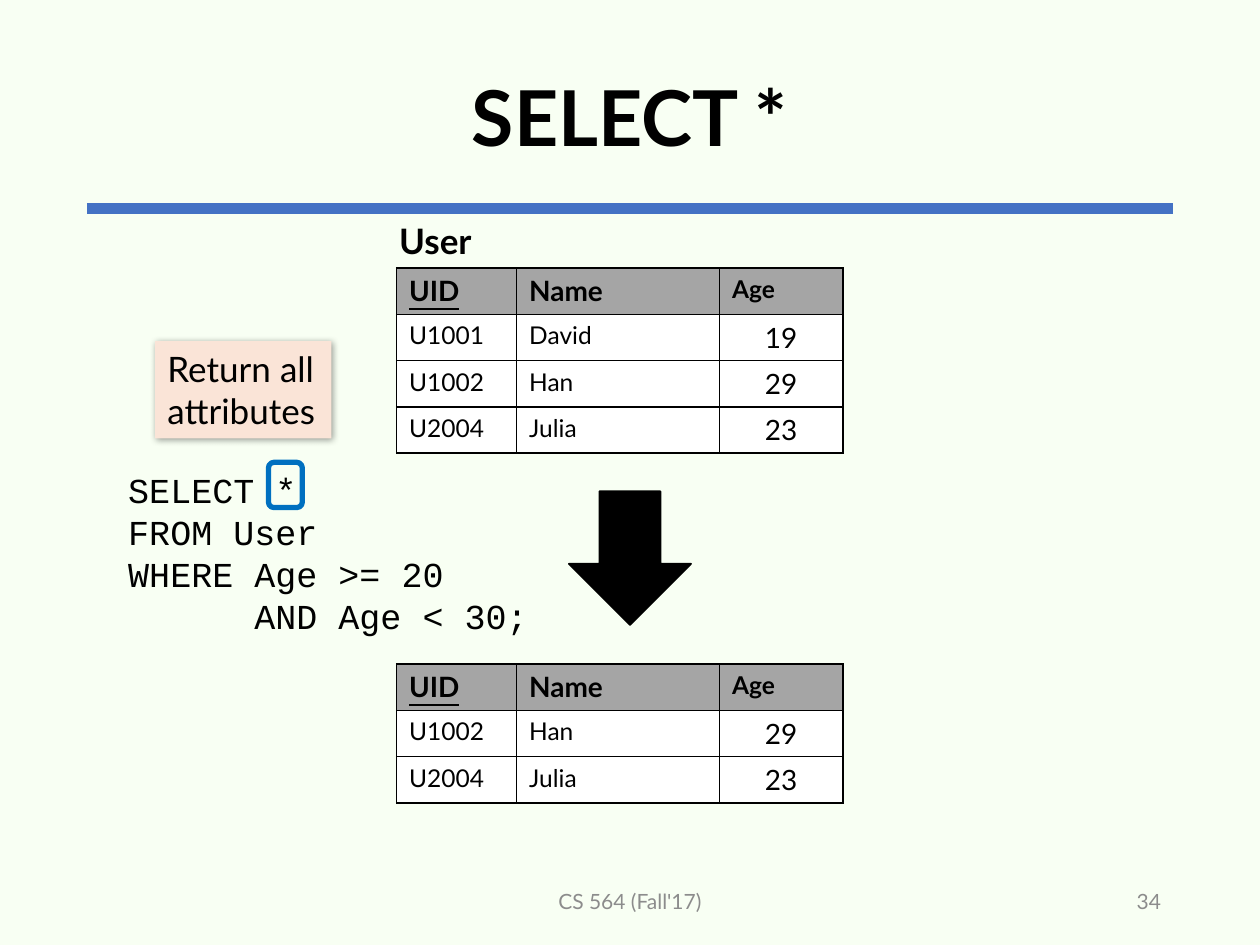
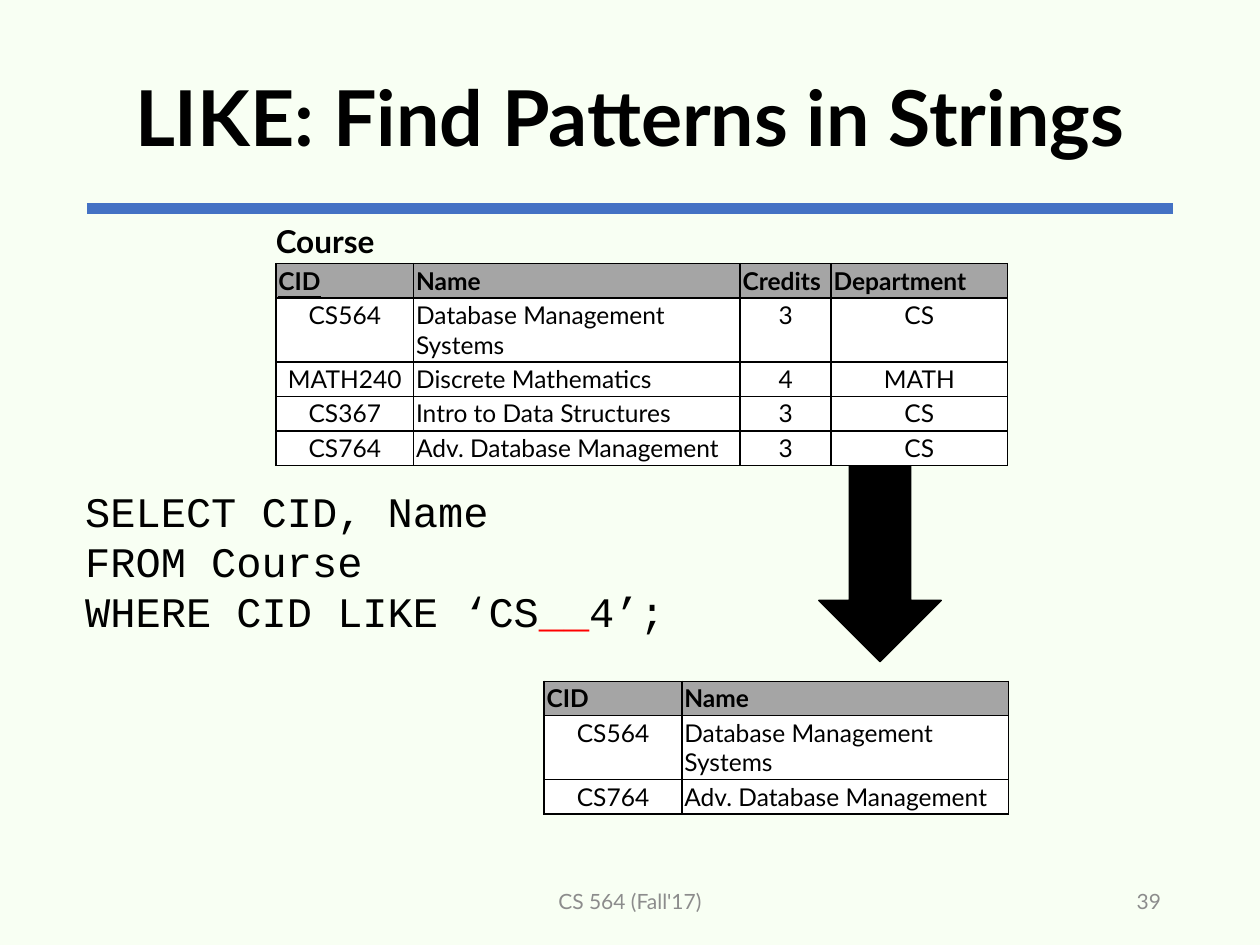
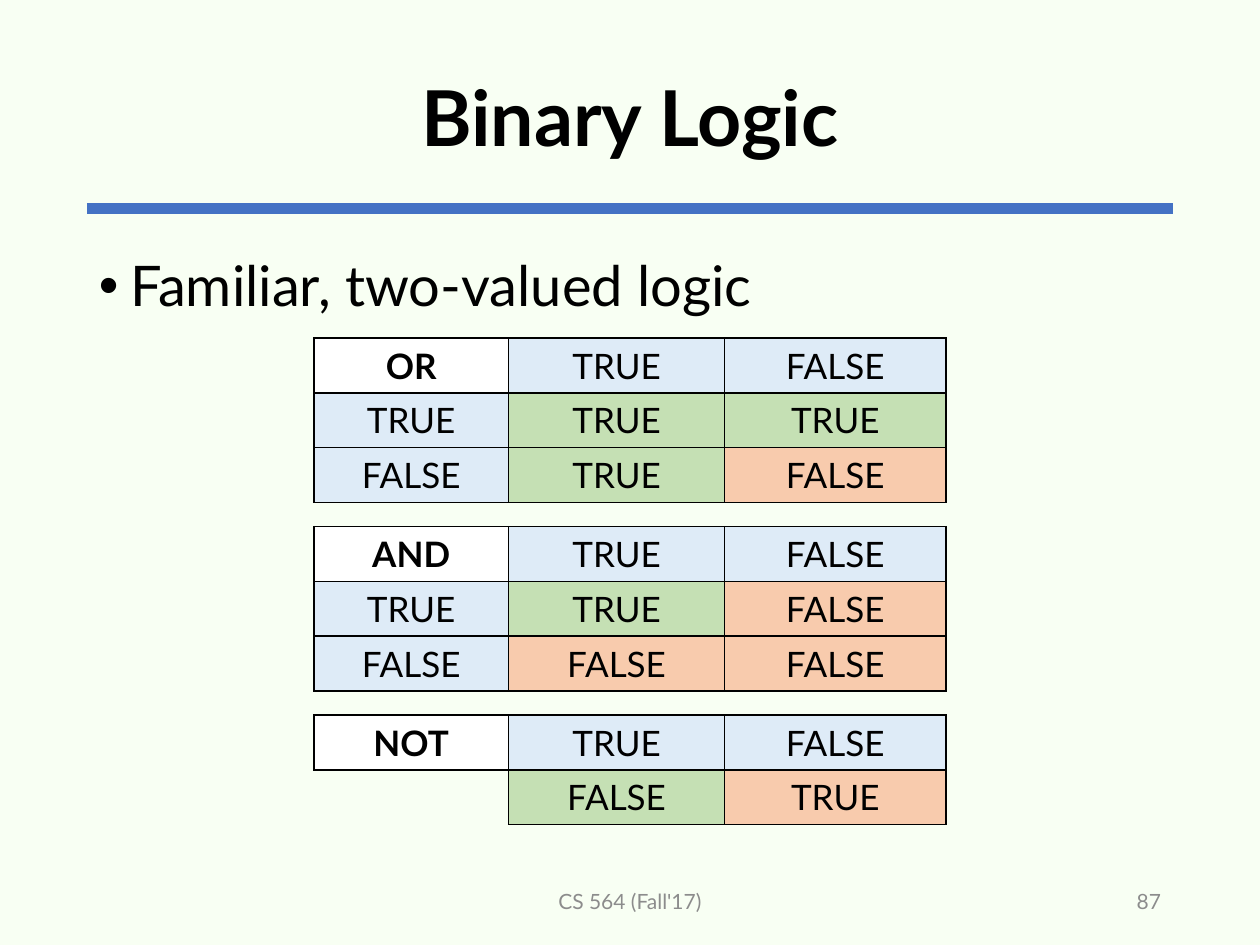
"""Build three lecture slides on SQL selection, string patterns and binary logic."""
from lxml.etree import SubElement
from pptx import Presentation
from pptx.dml.color import RGBColor
from pptx.enum.shapes import MSO_CONNECTOR, MSO_SHAPE
from pptx.enum.text import MSO_ANCHOR as ANCHOR, MSO_AUTO_SIZE, PP_ALIGN as ALIGN
from pptx.oxml import parse_xml
from pptx.oxml.ns import nsdecls, qn
from pptx.util import Pt

BACKGROUND = RGBColor(0xF8, 0xFF, 0xF3)
BLACK = RGBColor(0x00, 0x00, 0x00)
WHITE = RGBColor(0xFF, 0xFF, 0xFF)
RULE_BLUE = RGBColor(0x44, 0x72, 0xC4)
FOOTER_GRAY = RGBColor(0x8C, 0x8C, 0x8C)
HEADER_GRAY = RGBColor(0xA5, 0xA5, 0xA5)
RED = RGBColor(0xFF, 0x00, 0x00)
FRAME_BLUE = RGBColor(0x00, 0x70, 0xC0)
CALLOUT_PEACH = RGBColor(0xFA, 0xE4, 0xD7)
INPUT_BLUE = RGBColor(0xDE, 0xEB, 0xF7)
GREEN = RGBColor(0xC5, 0xE0, 0xB4)
ORANGE = RGBColor(0xF8, 0xCB, 0xAD)
TEXT_FONT = "Lato"
CODE_FONT = "Courier New"


def write(frame, text, size=20, font=TEXT_FONT, color=BLACK, bold=False, underline=False,
          align=ALIGN.LEFT, anchor=ANCHOR.TOP, spacing=None, wrap=True, red_part=None):
    frame.word_wrap = wrap
    frame.vertical_anchor = anchor
    for index, line in enumerate(text.split("\n")):
        paragraph = frame.add_paragraph() if index else frame.paragraphs[0]
        paragraph.alignment = align
        if spacing:
            paragraph.line_spacing = spacing
        for piece in line.partition(red_part) if red_part else [line]:
            if piece:
                run = paragraph.add_run()
                run.text = piece
                run.font.name = font
                run.font.size = Pt(size)
                run.font.bold = bold
                run.font.underline = underline
                run.font.color.rgb = RED if piece == red_part else color


def add_grid(slide, left, top, widths, heights, rows):
    table = slide.shapes.add_table(len(rows), len(widths), Pt(left), Pt(top),
                                   Pt(sum(widths)), Pt(sum(heights))).table
    table.horz_banding = False
    for column, width in enumerate(widths):
        table.columns[column].width = Pt(width)
    for row, height in enumerate(heights):
        table.rows[row].height = Pt(height)
    entries = [(row, column, table.cell(row, column), text)
               for row, texts in enumerate(rows) for column, text in enumerate(texts)]
    for row, column, cell, text in entries:
        for side in ("lnL", "lnR", "lnT", "lnB"):
            border = SubElement(cell._tc.get_or_add_tcPr(), qn(f"a:{side}"), w=str(Pt(1)))
            if text or side in ("lnR", "lnT"):
                fill = SubElement(border, qn("a:solidFill"))
                SubElement(fill, qn("a:srgbClr"), val=str(BLACK))
            else:
                SubElement(border, qn("a:noFill"))
    return entries


presentation = Presentation()
presentation.slide_width = Pt(720)
presentation.slide_height = Pt(540)
background = presentation.slide_master.background.fill
background.solid()
background.fore_color.rgb = BACKGROUND

slides = []
for title_text, number in [("SELECT *", "34"), ("LIKE: Find Patterns in Strings", "39"),
                           ("Binary Logic", "87")]:
    slide = presentation.slides.add_slide(presentation.slide_layouts[5])
    slides.append(slide)
    rule = slide.shapes.add_connector(MSO_CONNECTOR.STRAIGHT, Pt(49.7), Pt(119.2), Pt(670.3), Pt(119.2))
    rule.line.color.rgb = RULE_BLUE
    rule.line.width = Pt(6)
    SubElement(rule._element.spPr, qn("a:effectLst"))
    title = slide.shapes.title
    title.left, title.top, title.width, title.height = Pt(49.5), Pt(17.2), Pt(621), Pt(104.4)
    title.text_frame.auto_size = MSO_AUTO_SIZE.NONE
    write(title.text_frame, title_text, size=44, bold=True, align=ALIGN.CENTER,
          anchor=ANCHOR.MIDDLE, spacing=0.9)
    for left, width, text, align in [(238.5, 243, "CS 564 (Fall'17)", ALIGN.CENTER),
                                     (508.5, 162, number, ALIGN.RIGHT)]:
        footer = slide.shapes.add_textbox(Pt(left), Pt(500.5), Pt(width), Pt(28.75))
        write(footer.text_frame, text, size=12, color=FOOTER_GRAY, align=align, anchor=ANCHOR.MIDDLE)
select_slide, like_slide, logic_slide = slides

select_query = "SELECT *\nFROM User\nWHERE Age >= 20\n      AND Age < 30;"
like_query = "SELECT CID, Name\nFROM Course\nWHERE CID LIKE ‘CS__4’;"
for slide, left, top, width, height, text, text_format in [
    (select_slide, 66.2, 264.2, 246.2, 103.7, select_query, {"font": CODE_FONT}),
    (select_slide, 221, 121.7, 56.2, 31.7, "User", {"bold": True, "wrap": False}),
    (like_slide, 41.6, 273.6, 432, 130.3, like_query,
     {"font": CODE_FONT, "size": 24, "red_part": "__"}),
    (like_slide, 150.5, 123.1, 72.7, 28.8, "Course", {"size": 18, "bold": True, "wrap": False}),
]:
    box = slide.shapes.add_textbox(Pt(left), Pt(top), Pt(width), Pt(height))
    write(box.text_frame, text, **text_format)

for slide, left, top, height in [(select_slide, 325.1, 280.8, 76.3), (like_slide, 468, 264.2, 113.8)]:
    arrow = slide.shapes.add_shape(MSO_SHAPE.DOWN_ARROW, Pt(left), Pt(top), Pt(69.8), Pt(height))
    arrow.shadow.inherit = False
    arrow.fill.solid()
    arrow.fill.fore_color.rgb = BLACK
    arrow.line.color.rgb = BLACK
    arrow.line.width = Pt(1)

star_frame = select_slide.shapes.add_shape(MSO_SHAPE.ROUNDED_RECTANGLE, Pt(153.4), Pt(264.2), Pt(19.4), Pt(25.9))
star_frame.shadow.inherit = False
star_frame.fill.background()
star_frame.line.color.rgb = FRAME_BLUE
star_frame.line.width = Pt(3)

callout = select_slide.shapes.add_shape(MSO_SHAPE.RECTANGLE, Pt(88.6), Pt(195), Pt(100.8), Pt(55.6))
callout.fill.solid()
callout.fill.fore_color.rgb = CALLOUT_PEACH
callout.line.fill.background()
callout._element.spPr.append(parse_xml(
    f'<a:effectLst {nsdecls("a")}><a:outerShdw blurRad="{Pt(4)}" dist="{Pt(1)}" dir="2700000">'
    '<a:srgbClr val="000000"><a:alpha val="40000"/></a:srgbClr></a:outerShdw></a:effectLst>'))
write(callout.text_frame, "Return all attributes")

user_header = ["UID", "Name", "Age"]
david, han, julia = ["U1001", "David", "19"], ["U1002", "Han", "29"], ["U2004", "Julia", "23"]
for top, rows in [(153.2, [user_header, david, han, julia]), (379.5, [user_header, han, julia])]:
    heights = [26.4] * len(rows)
    for row, column, cell, text in add_grid(select_slide, 226.6, top, [68.6, 116, 70.4], heights, rows):
        is_header, is_age = row == 0, column == 2
        cell.fill.solid()
        cell.fill.fore_color.rgb = HEADER_GRAY if is_header else WHITE
        write(cell.text_frame, text, size=14 if is_header == is_age else 16, bold=is_header,
              underline=text == "UID", align=ALIGN.CENTER if is_age and not is_header else ALIGN.LEFT)

courses = [
    ["CID", "Name", "Credits", "Department"],
    ["CS564", "Database Management Systems", "3", "CS"],
    ["MATH240", "Discrete Mathematics", "4", "MATH"],
    ["CS367", "Intro to Data Structures", "3", "CS"],
    ["CS764", "Adv. Database Management", "3", "CS"],
]
matches = [courses[index][:2] for index in (0, 1, 4)]
course_widths = [78.7, 186.6, 52, 100.8]
for left, top, rows in [(157.7, 150.7, courses), (311, 389.3, matches)]:
    widths = course_widths[:len(rows[0])]
    heights = [36.5 if "Database Management Systems" in texts else 19.7 for texts in rows]
    for row, column, cell, text in add_grid(like_slide, left, top, widths, heights, rows):
        is_header = row == 0
        cell.fill.solid()
        cell.fill.fore_color.rgb = HEADER_GRAY if is_header else WHITE
        cell.margin_left = cell.margin_right = cell.margin_top = cell.margin_bottom = Pt(1.4)
        write(cell.text_frame, text, size=14, bold=is_header,
              underline=text == "CID" and rows is courses,
              align=ALIGN.LEFT if is_header or column == 1 else ALIGN.CENTER)

body = logic_slide.shapes.add_textbox(Pt(49.5), Pt(144), Pt(621), Pt(342.7))
bullet_properties = body.text_frame.paragraphs[0]._p.get_or_add_pPr()
bullet_properties.set("marL", str(Pt(18)))
bullet_properties.set("indent", str(-Pt(18)))
SubElement(bullet_properties, qn("a:buFont"), typeface="Arial")
SubElement(bullet_properties, qn("a:buChar"), char="•")
write(body.text_frame, "Familiar, two-valued logic", size=32, spacing=0.9)

inputs = ["TRUE", "FALSE"]
truth_tables = [
    [["OR", *inputs], ["TRUE", "TRUE", "TRUE"], ["FALSE", "TRUE", "FALSE"]],
    [["AND", *inputs], ["TRUE", "TRUE", "FALSE"], ["FALSE", "FALSE", "FALSE"]],
    [["NOT", *inputs], ["", "FALSE", "TRUE"]],
]
for index, rows in enumerate(truth_tables):
    operator = rows[0][0]
    green_result = "FALSE" if operator == "NOT" else "TRUE"
    top = 193.2 + index * 107.7
    heights = [31.3] * len(rows)
    for row, column, cell, text in add_grid(logic_slide, 179.3, top, [111.4, 123.4, 126.6], heights, rows):
        if not text:
            cell.fill.background()
            continue
        if text == operator:
            color = WHITE
        elif row == 0 or column == 0:
            color = INPUT_BLUE
        else:
            color = GREEN if text == green_result else ORANGE
        cell.fill.solid()
        cell.fill.fore_color.rgb = color
        cell.vertical_anchor = ANCHOR.MIDDLE
        write(cell.text_frame, text, bold=text == operator, align=ALIGN.CENTER, anchor=ANCHOR.MIDDLE)

presentation.save("out.pptx")
